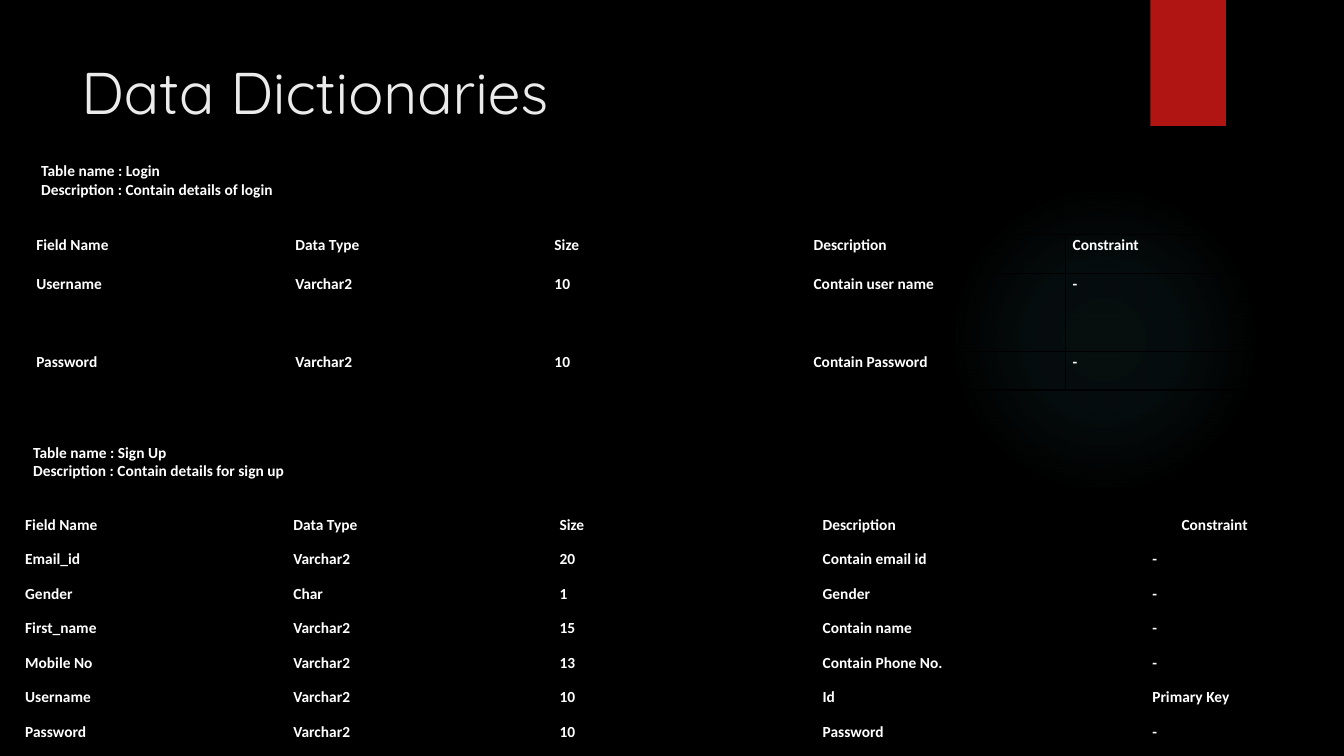
import pptx
import pptx.util
import pptx.dml.color
import pptx.enum.shapes
import pptx.enum.text
import pptx.oxml
from lxml import etree

Inches, Pt = pptx.util.Inches, pptx.util.Pt
SHAPE = pptx.enum.shapes.MSO_SHAPE
ANCHOR = pptx.enum.text.MSO_ANCHOR

# Content
TITLE = "Data Dictionaries"
HEAD = ["Field Name", "Data Type", "Size", "Description", "Constraint"]
LOGIN = {
    "note": ["Table name : Login", "Description : Contain details of login"],
    "note_at": (0.31, 1.55, 2.6, 0.47),
    "at": (0.29, 2.33),
    "cols": [2.57] * 5,
    "rows": [0.38, 0.78, 0.38],
    "data": [
        HEAD,
        ["Username", "Varchar2", "10", "Contain user name", "-"],
        ["Password", "Varchar2", "10", "Contain Password", "-"],
    ],
}
SIGNUP = {
    "note": ["Table name : Sign Up", "Description : Contain details for sign up"],
    "note_at": (0.23, 4.34, 4.4, 0.47),
    "at": (0.18, 5.1),
    "cols": [2.66, 2.64, 2.61, 3.27, 0.29, 1.68],
    "rows": [2.4 / 7] * 7,
    "data": [
        HEAD,
        ["Email_id", "Varchar2", "20", "Contain email id", "-"],
        ["Gender", "Char", "1", "Gender", "-"],
        ["First_name", "Varchar2", "15", "Contain name", "-"],
        ["Mobile No", "Varchar2", "13", "Contain Phone No.", "-"],
        ["Username", "Varchar2", "10", "Id", "Primary Key"],
        ["Password", "Varchar2", "10", "Password", "-"],
    ],
}

# Theme
THEME = {
    "back": "000000", "glow": "50B9C1", "flag": "B01513",
    "title": ("Quicksand", 42, False, "EBEBEB"),
    "body": ("Calibri", 11, True, "FFFFFF"),
    "rule": "000000",
}
NS = 'xmlns:a="http://schemas.openxmlformats.org/drawingml/2006/main"'


def color(name):
    return pptx.dml.color.RGBColor.from_string(name)


def write(para, text, style):
    face, size, bold, ink = style
    run = para.add_run()
    run.text = text
    run.font.name, run.font.size, run.font.bold = face, Pt(size), bold
    run.font.color.rgb = color(ink)


def add_text(slide, at, lines, style, anchor):
    frame = slide.shapes.add_textbox(*map(Inches, at)).text_frame
    frame.word_wrap = True
    frame.vertical_anchor = anchor
    for i, line in enumerate(lines):
        para = frame.add_paragraph() if i else frame.paragraphs[0]
        write(para, line, style)


def add_block(slide, kind, at, fill):
    shape = slide.shapes.add_shape(kind, *map(Inches, at))
    shape.shadow.inherit = False
    shape.fill.solid()
    shape.fill.fore_color.rgb = color(fill)
    shape.line.fill.background()
    return shape


def add_glow(slide, at, stops):
    shape = add_block(slide, SHAPE.OVAL, at, THEME["glow"])
    marks = "".join(
        f'<a:gs pos="{pos * 1000}"><a:srgbClr val="{THEME["glow"]}">'
        f'<a:alpha val="{alpha * 1000}"/></a:srgbClr></a:gs>'
        for pos, alpha in stops)
    grad = pptx.oxml.parse_xml(
        f'<a:gradFill {NS} rotWithShape="1"><a:gsLst>{marks}</a:gsLst>'
        '<a:path path="circle"><a:fillToRect l="50000" t="50000" '
        'r="50000" b="50000"/></a:path></a:gradFill>')
    props = shape.element.spPr
    solid = props.find("{*}solidFill")
    props.replace(solid, grad)


def rule_cell(cell):
    props = cell._tc.get_or_add_tcPr()
    for i, side in enumerate(("lnL", "lnR", "lnT", "lnB")):
        props.insert(i, etree.fromstring(
            f'<a:{side} {NS} w="12700"><a:solidFill><a:srgbClr '
            f'val="{THEME["rule"]}"/></a:solidFill></a:{side}>'))


def add_grid(slide, part):
    cols, rows, data = part["cols"], part["rows"], part["data"]
    size = sum(cols), sum(rows)
    table = slide.shapes.add_table(
        len(rows), len(cols), *map(Inches, part["at"] + size)).table
    table.first_row = table.horz_banding = False
    for col, width in zip(table.columns, cols):
        col.width = Inches(width)
    for row, height in zip(table.rows, rows):
        row.height = Inches(height)
    for cell in table.iter_cells():
        cell.fill.background()
        cell.margin_left = cell.margin_right = Inches(0.07)
        cell.margin_top = cell.margin_bottom = 0
        rule_cell(cell)
    for r, words in enumerate(data):
        spots = list(range(len(words)))
        if len(cols) > len(words):
            # The narrow column joins Description in the head, Constraint below
            first = 3 if r == 0 else 4
            table.cell(r, first).merge(table.cell(r, first + 1))
            spots[4] = 5 if r == 0 else 4
        for c, text in zip(spots, words):
            para = table.cell(r, c).text_frame.paragraphs[0]
            para.line_spacing = 1.07
            write(para, text, THEME["body"])


# Slide
deck = pptx.Presentation()
deck.slide_width, deck.slide_height = Inches(13.33), Inches(7.5)
slide = deck.slides.add_slide(deck.slide_layouts[6])
slide.background.fill.solid()
slide.background.fill.fore_color.rgb = color(THEME["back"])

# Backdrop and title
add_glow(slide, (9.41, 1.83, 3.08, 3.08), [(0, 7), (36, 6), (69, 0)])
add_block(slide, SHAPE.RECTANGLE, (11.41, 0, 0.75, 1.25), THEME["flag"])
add_text(slide, (0.71, 0.5, 10.29, 1.53), [TITLE], THEME["title"], ANCHOR.TOP)

# Tables with their notes
for part in (LOGIN, SIGNUP):
    add_grid(slide, part)
    add_text(slide, part["note_at"], part["note"], THEME["body"], ANCHOR.MIDDLE)

deck.save("out.pptx")
